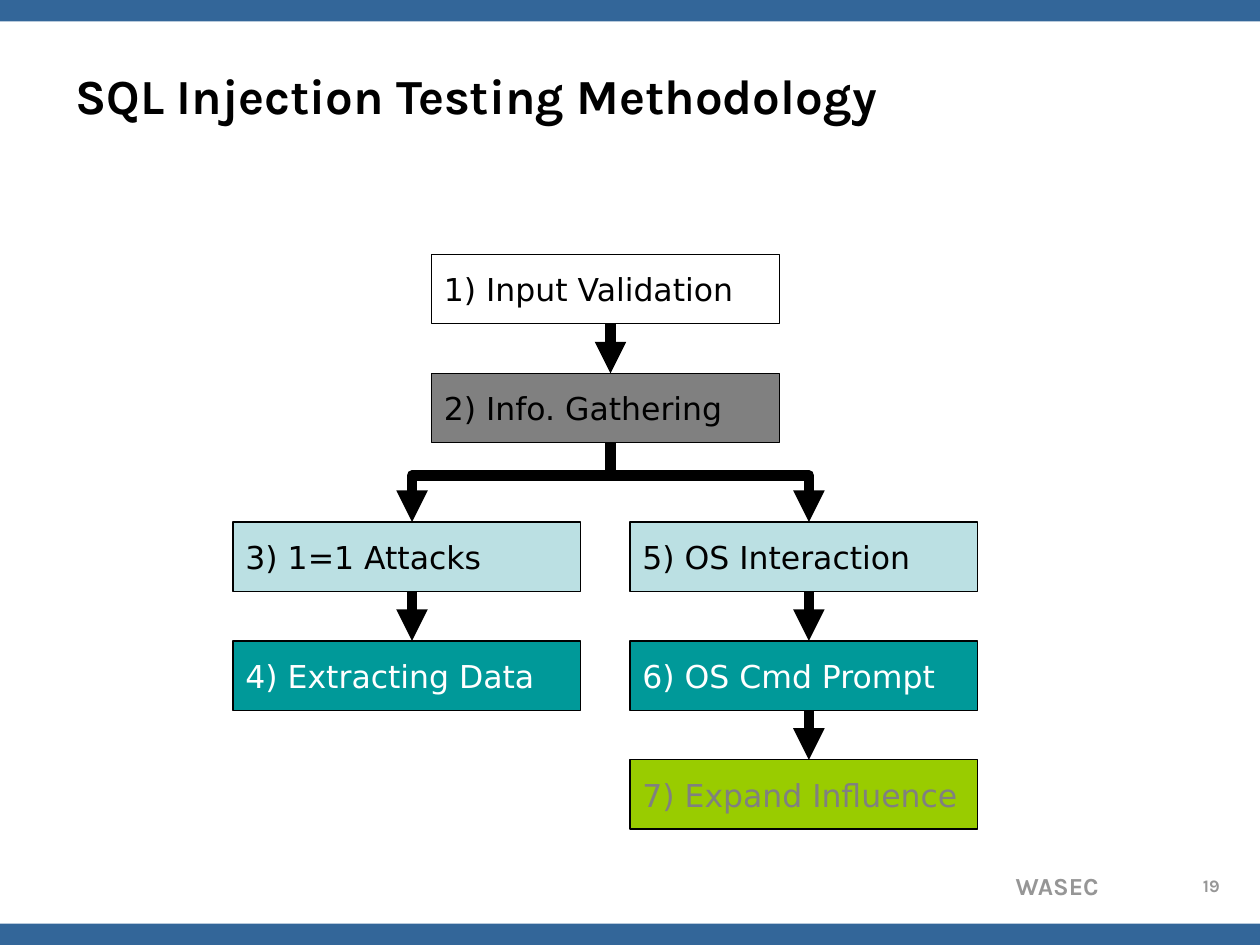
import dataclasses

import pptx
import pptx.dml.color
import pptx.enum.shapes
import pptx.enum.text
import pptx.oxml.xmlchemy
import pptx.util

Inches = pptx.util.Inches
Align = pptx.enum.text.PP_ALIGN
Anchor = pptx.enum.text.MSO_ANCHOR
RECTANGLE = pptx.enum.shapes.MSO_SHAPE.RECTANGLE
STRAIGHT = pptx.enum.shapes.MSO_CONNECTOR.STRAIGHT


@dataclasses.dataclass(frozen=True)
class Theme:
    heading_font: str = "Karla"
    body_font: str = "DejaVu Sans"
    title_size: int = 28
    node_size: int = 18
    brand_size: int = 14
    number_size: int = 10
    outline_width: float = 0.75
    arrow_width: float = 6
    band: str = "336699"
    ink: str = "000000"
    paper: str = "FFFFFF"
    muted: str = "969696"
    gray: str = "808080"
    pale: str = "BBE0E3"
    teal: str = "009999"
    lime: str = "99CC00"


@dataclasses.dataclass(frozen=True)
class Box:
    left: float
    top: float
    width: float
    height: float

    def share(self, left, top, width, height):
        """Return the part of this box given by shares of its size."""
        return Box(self.left + left * self.width, self.top + top * self.height,
                   width * self.width, height * self.height)

    def lengths(self):
        return [Inches(v) for v in (self.left, self.top, self.width, self.height)]


THEME = Theme()
SLIDE = Box(0, 0, 10, 7.5)
FLOW = Box(1.85, 2.02, 5.91, 4.56)
NODE_WIDTH, NODE_HEIGHT = 2.76, 0.55
COLUMN_STEP = FLOW.width - NODE_WIDTH
ROW_STEP = (FLOW.height - NODE_HEIGHT) / 4.25
ARROW_OFFSET = 1.42
BRANCH_DROP = 0.26

# name: (label, column, row, fill, text colour)
NODES = {
    "input": ("1) Input Validation", 0.5, 0, THEME.paper, THEME.ink),
    "gather": ("2) Info. Gathering", 0.5, 1, THEME.gray, THEME.ink),
    "attacks": ("3) 1=1 Attacks", 0, 2.25, THEME.pale, THEME.ink),
    "extract": ("4) Extracting Data", 0, 3.25, THEME.teal, THEME.paper),
    "interact": ("5) OS Interaction", 1, 2.25, THEME.pale, THEME.ink),
    "prompt": ("6) OS Cmd Prompt", 1, 3.25, THEME.teal, THEME.paper),
    "expand": ("7) Expand Influence", 1, 4.25, THEME.lime, THEME.gray),
}
LINKS = [("input", "gather"), ("gather", "attacks"), ("gather", "interact"),
         ("attacks", "extract"), ("interact", "prompt"), ("prompt", "expand")]


def rgb(color):
    return pptx.dml.color.RGBColor.from_string(color)


def write_text(shape, text, font, size, color, bold=False,
               align=Align.LEFT, anchor=Anchor.TOP, wrap=True):
    frame = shape.text_frame
    frame.word_wrap = wrap
    frame.vertical_anchor = anchor
    paragraph = frame.paragraphs[0]
    paragraph.alignment = align
    run = paragraph.add_run()
    run.text = text
    run.font.name = font
    run.font.size = pptx.util.Pt(size)
    run.font.bold = bold
    run.font.color.rgb = rgb(color)


def add_rectangle(slide, box, fill):
    shape = slide.shapes.add_shape(RECTANGLE, *box.lengths())
    shape.shadow.inherit = False
    shape.fill.solid()
    shape.fill.fore_color.rgb = rgb(fill)
    shape.line.fill.background()
    return shape


def add_bands(slide, box):
    thickness = 0.17 / box.height
    for top in (0, 1 - thickness):
        add_rectangle(slide, box.share(0, top, 1, thickness), THEME.band)


def add_title(slide, box):
    title = slide.shapes.add_textbox(*box.lengths())
    write_text(title, "SQL Injection Testing Methodology", THEME.heading_font,
               THEME.title_size, THEME.ink, bold=True, anchor=Anchor.MIDDLE)


def add_footer(slide, box):
    brand = slide.shapes.add_textbox(*box.share(0, 0, 0.72, 0.9).lengths())
    write_text(brand, "WASEC", THEME.heading_font, THEME.brand_size,
               THEME.muted, bold=True, align=Align.RIGHT)
    number = slide.shapes.add_textbox(*box.share(0.88, 0.1, 0.12, 0.65).lengths())
    write_text(number, "19", THEME.heading_font, THEME.number_size,
               THEME.muted, bold=True, align=Align.CENTER)


def style_arrow(shape):
    shape.line.color.rgb = rgb(THEME.ink)
    shape.line.width = pptx.util.Pt(THEME.arrow_width)
    line = shape.line._get_or_add_ln()
    line.append(pptx.oxml.xmlchemy.OxmlElement("a:round"))
    head = pptx.oxml.xmlchemy.OxmlElement("a:tailEnd")
    head.set("type", "triangle")
    line.append(head)


def add_arrow(slide, source, target):
    """Link two nodes, with an elbow where they stand in different columns."""
    start_x, end_x = (Inches(node.left + ARROW_OFFSET) for node in (source, target))
    start_y, end_y = Inches(source.top + source.height), Inches(target.top)
    if start_x == end_x:
        arrow = slide.shapes.add_connector(STRAIGHT, start_x, start_y, end_x, end_y)
        arrow._element.spPr.append(pptx.oxml.xmlchemy.OxmlElement("a:effectLst"))
    else:
        bend_y = start_y + Inches(BRANCH_DROP)
        builder = slide.shapes.build_freeform(start_x, start_y)
        builder.add_line_segments(
            [(start_x, bend_y), (end_x, bend_y), (end_x, end_y)], close=False)
        arrow = builder.convert_to_shape()
        arrow.shadow.inherit = False
        arrow.fill.background()
    style_arrow(arrow)


def add_flow(slide, box):
    places = {}
    for name, (label, column, row, fill, color) in NODES.items():
        places[name] = Box(box.left + column * COLUMN_STEP, box.top + row * ROW_STEP,
                           NODE_WIDTH, NODE_HEIGHT)
        node = add_rectangle(slide, places[name], fill)
        node.line.color.rgb = rgb(THEME.ink)
        node.line.width = pptx.util.Pt(THEME.outline_width)
        write_text(node, label, THEME.body_font, THEME.node_size, color,
                   anchor=Anchor.MIDDLE, wrap=False)
    for source, target in LINKS:
        add_arrow(slide, places[source], places[target])


def main():
    presentation = pptx.Presentation()
    presentation.slide_width = Inches(SLIDE.width)
    presentation.slide_height = Inches(SLIDE.height)
    slide = presentation.slides.add_slide(presentation.slide_layouts[6])
    add_bands(slide, SLIDE)
    add_title(slide, SLIDE.share(0.05, 0.04, 0.9, 0.12))
    add_flow(slide, FLOW)
    add_footer(slide, Box(6.22, 6.86, 3.61, 0.38))
    presentation.save("out.pptx")


if __name__ == "__main__":
    main()
